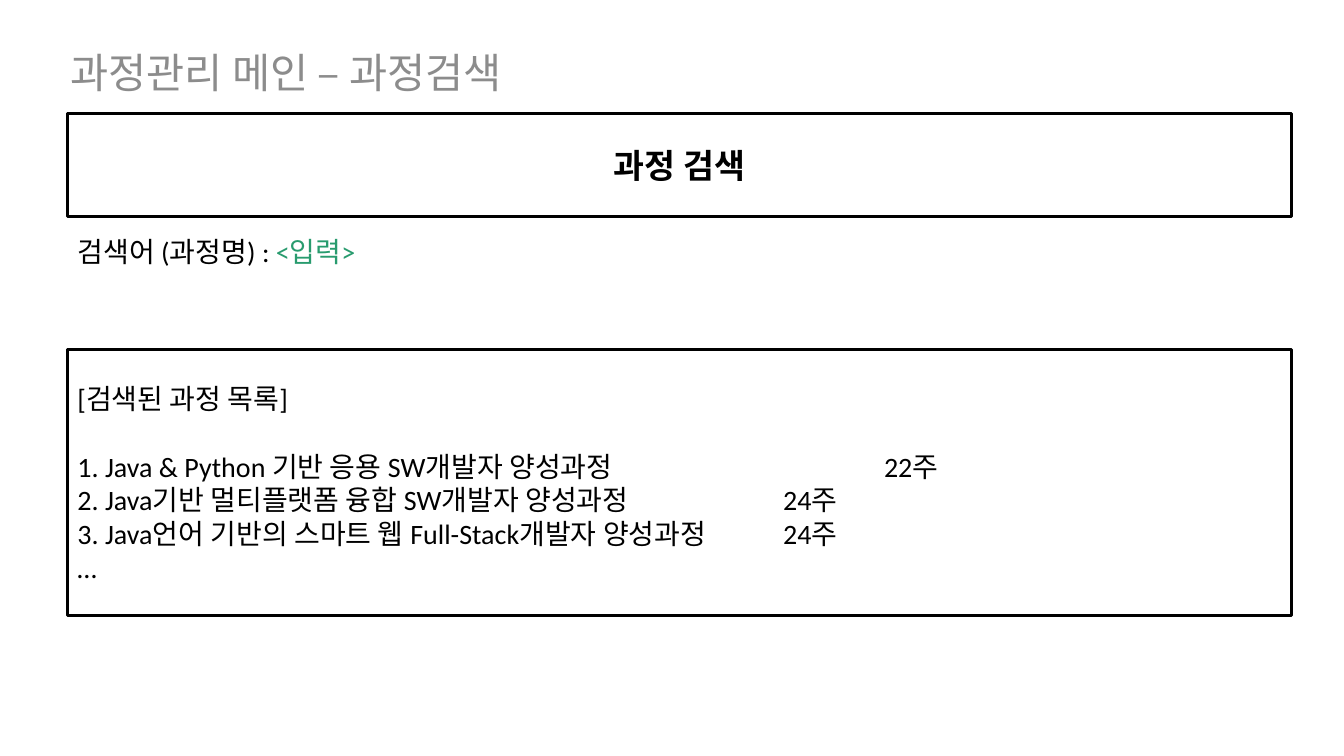
from pptx import Presentation
from pptx.dml.color import RGBColor
from pptx.enum.shapes import MSO_SHAPE
from pptx.enum.text import MSO_ANCHOR, PP_ALIGN
from pptx.oxml.ns import qn
from pptx.util import Inches, Pt
from lxml import etree

RECT = MSO_SHAPE.RECTANGLE
MID, TOP = MSO_ANCHOR.MIDDLE, MSO_ANCHOR.TOP
LEFT, MIDDLE = PP_ALIGN.LEFT, PP_ALIGN.CENTER
BLACK, GRAY, GREEN = "000000", "8C8C8C", "289B6E"
EDGE, WIDE = 0.67, 12.14


def color(code):
    return RGBColor.from_string(code)


def write(para, text, size=20, ink=BLACK, bold=False, face="Calibri"):
    run = para.add_run()
    run.text = text
    font = run.font
    font.name, font.size, font.bold = face, Pt(size), bold
    font.color.rgb = color(ink)


def add_tab(para, pos):
    props = para._p.get_or_add_pPr()
    tabs = etree.SubElement(props, qn("a:tabLst"))
    etree.SubElement(tabs, qn("a:tab"), pos=str(Inches(pos)), algn="l")


class Page:
    """Hold the style and the current slide."""

    def __init__(self, deck):
        self.slide = deck.slides.add_slide(deck.slide_layouts[6])
        self.line = 2.25

    def setup(self, shape, anchor, align):
        frame = shape.text_frame
        frame.word_wrap = True
        frame.vertical_anchor = anchor
        frame.paragraphs[0].alignment = align
        return frame

    def label(self, x, y, w, h):
        box = self.slide.shapes.add_textbox(
            Inches(x), Inches(y), Inches(w), Inches(h))
        return self.setup(box, TOP, LEFT)

    def panel(self, y, h, align=LEFT):
        box = self.slide.shapes.add_shape(
            RECT, Inches(EDGE), Inches(y), Inches(WIDE), Inches(h))
        box.shadow.inherit = False
        box.fill.background()
        box.line.color.rgb = color(BLACK)
        box.line.width = Pt(self.line)
        return self.setup(box, MID, align)


def main():
    deck = Presentation()
    deck.slide_width, deck.slide_height = Inches(13.33), Inches(7.5)
    page = Page(deck)

    title = page.label(0.6, 0.42, WIDE, 0.51)
    write(title.paragraphs[0], "과정관리 메인 – 과정검색", size=29.6, ink=GRAY)

    head = page.panel(1.13, 1.02, align=MIDDLE)
    write(head.paragraphs[0], "과정 검색", size=24, bold=True)

    query = page.label(EDGE, 2.32, 11.81, 0.83).paragraphs[0]
    query.line_spacing = 0.9
    write(query, "검색어 (과정명) : ")
    write(query, "<입력>", ink=GREEN)

    found = page.panel(3.47, 2.64)
    first = found.paragraphs[0]
    first.space_after = Pt(24)
    write(first, "[검색된 과정 목록]")
    courses = [
        ("Java & Python 기반 응용 SW개발자 양성과정", "22주", 8),
        ("Java기반 멀티플랫폼 융합 SW개발자 양성과정", "24주", 7),
        ("Java언어 기반의 스마트 웹 Full-Stack개발자 양성과정", "24주", 7),
    ]
    for num, (name, weeks, stop) in enumerate(courses, 1):
        para = found.add_paragraph()
        para.alignment = LEFT
        add_tab(para, stop)
        write(para, f"{num}. {name}\t{weeks}")
    last = found.add_paragraph()
    last.alignment = LEFT
    write(last, "…")

    deck.save("out.pptx")


if __name__ == "__main__":
    main()
